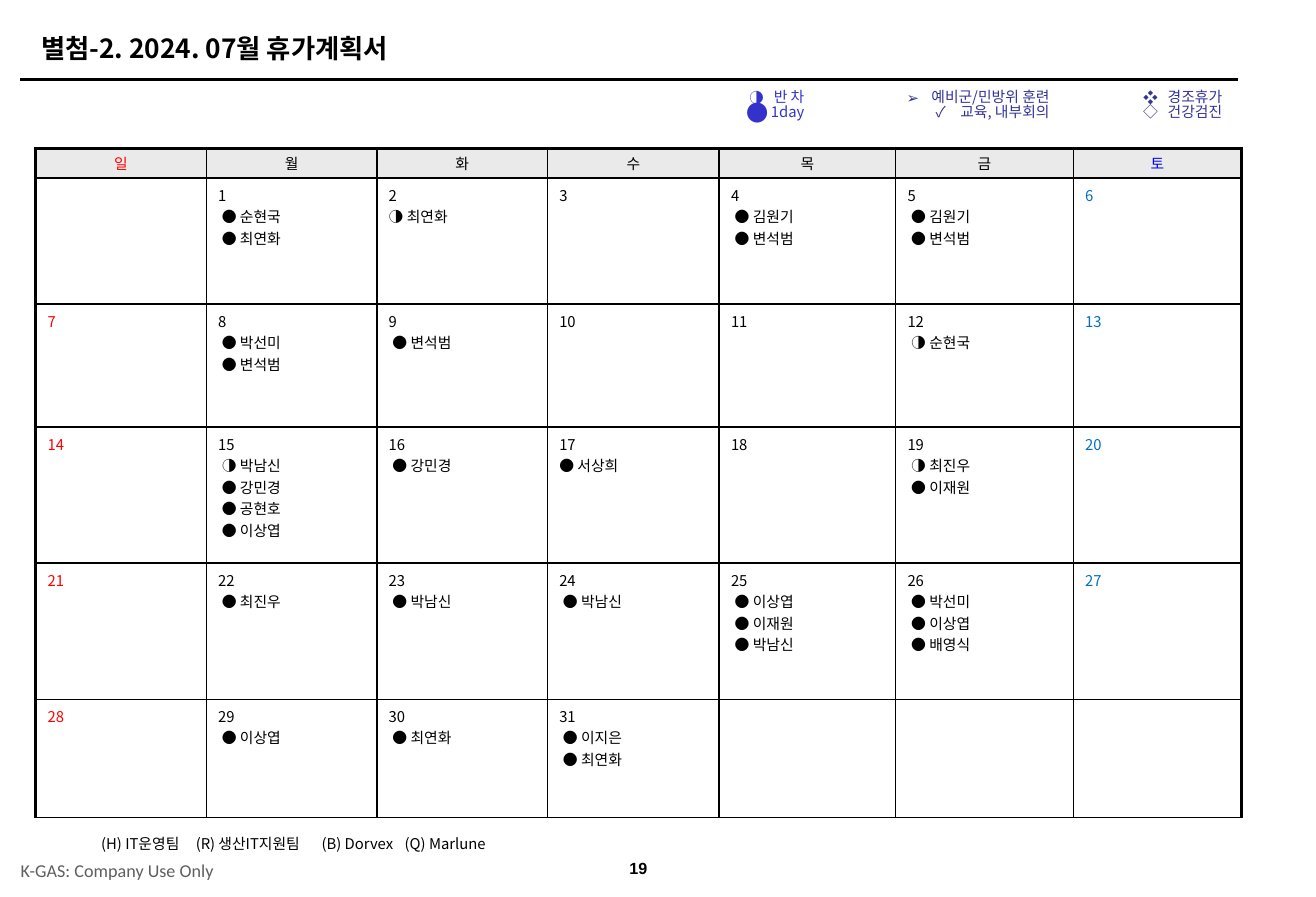
from lxml import etree
from pptx import Presentation
from pptx.dml.color import RGBColor
from pptx.enum.shapes import MSO_CONNECTOR
from pptx.enum.text import MSO_ANCHOR, MSO_AUTO_SIZE, PP_ALIGN
from pptx.oxml.ns import qn
from pptx.util import Pt

BLACK = RGBColor(0x00, 0x00, 0x00)
GRAY = RGBColor(0x5F, 0x5F, 0x5F)
HEADER_GRAY = RGBColor(0xEA, 0xEA, 0xEA)
RED = RGBColor(0xFF, 0x00, 0x00)
BLUE = RGBColor(0x00, 0x00, 0xFF)
SATURDAY_BLUE = RGBColor(0x00, 0x70, 0xC0)
LEAVE_BLUE = RGBColor(0x33, 0x33, 0xCC)
EVENT_BLUE = RGBColor(0x33, 0x33, 0x99)
KOREAN = "Noto Sans CJK KR"

WEEKDAYS = "일월화수목금토"
COLUMN_WIDTHS = [103.7, 103.7, 103.7, 104.4, 107.3, 108, 102.2]
ROW_HEIGHTS = [18.2, 76.5, 74.8, 82.7, 82.7, 71.7]
LAST_DAY = 31
LEAVES = {
    1: ["● 순현국", "● 최연화"],
    2: ["◑ 최연화"],
    4: ["● 김원기", "● 변석범"],
    5: ["● 김원기", "● 변석범"],
    8: ["● 박선미", "● 변석범"],
    9: ["● 변석범"],
    12: ["◑ 순현국"],
    15: ["◑ 박남신", "● 강민경", "● 공현호", "● 이상엽"],
    16: ["● 강민경"],
    17: ["● 서상희"],
    19: ["◑ 최진우", "● 이재원"],
    22: ["● 최진우"],
    23: ["● 박남신"],
    24: ["● 박남신"],
    25: ["● 이상엽", "● 이재원", "● 박남신"],
    26: ["● 박선미", "● 이상엽", "● 배영식"],
    29: ["● 이상엽"],
    30: ["● 최연화"],
    31: ["● 이지은", "● 최연화"],
}
FLUSH_DAYS = {2, 17}

# Right edge, colour and (bullet, bullet size in percent, label) of each group
LEGEND = [
    (496, LEAVE_BLUE, [("◑", 100, "반 차"), ("●", 150, "1day")]),
    (645, EVENT_BLUE, [("➢", 100, "예비군/민방위 훈련"), ("✓", 100, "교육, 내부회의")]),
    (750, EVENT_BLUE, [("❖", 100, "경조휴가"), ("◇", 100, "건강검진")]),
]
TEAMS = ["(H) IT운영팀", "(R) 생산IT지원팀", "(B) Dorvex", "(Q) Marlune"]
TEAM_TABS = [57.5, 134, 184.5]


def format_runs(paragraph, size, color, name=KOREAN, bold=False):
    for run in paragraph.runs:
        run.font.size = Pt(size)
        run.font.bold = bold
        run.font.color.rgb = color
        run.font.name = name
        east_asian = etree.SubElement(run._r.get_or_add_rPr(), qn("a:ea"))
        east_asian.set("typeface", name)


def set_indent(paragraph, margin, first_line=0):
    properties = paragraph._p.get_or_add_pPr()
    properties.set("marL", str(Pt(margin)))
    properties.set("indent", str(Pt(first_line)))


def add_text_box(slide, left, top, width, height, inset=0):
    frame = slide.shapes.add_textbox(Pt(left), Pt(top), Pt(width), Pt(height)).text_frame
    frame.word_wrap = True
    frame.margin_left = frame.margin_right = Pt(inset)
    frame.margin_top = frame.margin_bottom = Pt(inset / 2)
    return frame


def add_heading(slide, left, top, width, height):
    title = slide.shapes.title
    title.left, title.top = Pt(left), Pt(top)
    title.width, title.height = Pt(width), Pt(height)
    frame = title.text_frame
    frame.text = "별첨-2. 2024. 07월 휴가계획서"
    frame.auto_size = MSO_AUTO_SIZE.NONE
    frame.vertical_anchor = MSO_ANCHOR.MIDDLE
    frame.paragraphs[0].alignment = PP_ALIGN.LEFT
    format_runs(frame.paragraphs[0], 16, BLACK, bold=True)

    rule_y = Pt(top + height + 5.8)
    rule = slide.shapes.add_connector(
        MSO_CONNECTOR.STRAIGHT, Pt(left - 5.8), rule_y, Pt(left + width + 21.6), rule_y)
    rule.line.color.rgb = BLACK
    rule.line.width = Pt(1.5)
    etree.SubElement(rule._element.spPr, qn("a:effectLst"))


def add_bullet(paragraph, symbol, size, color):
    set_indent(paragraph, 15, -15)
    properties = paragraph._p.get_or_add_pPr()
    bullet_color = etree.SubElement(properties, qn("a:buClr"))
    etree.SubElement(bullet_color, qn("a:srgbClr")).set("val", str(color))
    etree.SubElement(properties, qn("a:buSzPct")).set("val", str(size * 1000))
    etree.SubElement(properties, qn("a:buFont")).set("typeface", KOREAN)
    etree.SubElement(properties, qn("a:buChar")).set("char", symbol)


def add_legend(slide, top, width, height):
    for right, color, entries in LEGEND:
        frame = add_text_box(slide, right - width, top, width, height, inset=7.2)
        frame.text = "\n".join(label for _, _, label in entries)
        for paragraph, (symbol, size, _) in zip(frame.paragraphs, entries):
            add_bullet(paragraph, symbol, size, color)
            paragraph.alignment = PP_ALIGN.RIGHT
            paragraph.line_spacing = 0.81
            format_runs(paragraph, 9, color)


def set_borders(cell, widths):
    """Draw black left, right, top and bottom borders of the given widths."""
    properties = cell._tc.get_or_add_tcPr()
    for position, (side, width) in enumerate(zip("LRTB", widths)):
        border = etree.Element(qn(f"a:ln{side}"), w=str(Pt(width)))
        fill = etree.SubElement(border, qn("a:solidFill"))
        etree.SubElement(fill, qn("a:srgbClr")).set("val", str(BLACK))
        properties.insert(position, border)


def fill_weekday(cell, column):
    cell.text_frame.text = WEEKDAYS[column]
    cell.vertical_anchor = MSO_ANCHOR.MIDDLE
    cell.margin_top = cell.margin_bottom = Pt(2)
    cell.fill.solid()
    cell.fill.fore_color.rgb = HEADER_GRAY
    heading = cell.text_frame.paragraphs[0]
    heading.alignment = PP_ALIGN.CENTER
    format_runs(heading, 9, {0: RED, 6: BLUE}.get(column, BLACK))


def fill_day(cell, day, column):
    cell.fill.background()
    if not 1 <= day <= LAST_DAY:
        return
    cell.text_frame.text = "\n".join([str(day), *LEAVES.get(day, [])])
    date, *leaves = cell.text_frame.paragraphs
    format_runs(date, 9, {0: RED, 6: SATURDAY_BLUE}.get(column, BLACK))
    for leave in leaves:
        set_indent(leave, 0 if day in FLUSH_DAYS else 2.25)
        format_runs(leave, 9, BLACK)


def add_calendar(slide, left, top):
    calendar = slide.shapes.add_table(
        len(ROW_HEIGHTS), len(COLUMN_WIDTHS), Pt(left), Pt(top),
        Pt(sum(COLUMN_WIDTHS)), Pt(sum(ROW_HEIGHTS))).table
    calendar.first_row = calendar.horz_banding = False
    for column, width in enumerate(COLUMN_WIDTHS):
        calendar.columns[column].width = Pt(width)
    for row, height in enumerate(ROW_HEIGHTS):
        calendar.rows[row].height = Pt(height)
        for column in range(len(COLUMN_WIDTHS)):
            cell = calendar.cell(row, column)
            if row == 0:
                fill_weekday(cell, column)
            else:
                fill_day(cell, 7 * (row - 1) + column, column)
            set_borders(cell, [2 if column == 0 else 1, 2 if column == 6 else 1,
                               2 if row == 0 else 1, 1])


def add_teams(slide, left, top, width, height):
    frame = add_text_box(slide, left, top, width, height)
    frame.vertical_anchor = MSO_ANCHOR.MIDDLE
    teams = frame.paragraphs[0]
    teams.text = "\t".join(TEAMS)
    tabs = etree.SubElement(teams._p.get_or_add_pPr(), qn("a:tabLst"))
    for position in TEAM_TABS:
        etree.SubElement(tabs, qn("a:tab"), pos=str(Pt(position)), algn="l")
    format_runs(teams, 9, BLACK)


def add_footer(slide, left, top, width, height):
    notice = add_text_box(slide, left, top + 1.5, 140, height)
    notice.text = "K-GAS: Company Use Only"
    format_runs(notice.paragraphs[0], 11, GRAY, "Calibri")

    page_number = add_text_box(slide, left + width / 2 - 20, top, 40, height)
    page_number.text = "19"
    page_number.paragraphs[0].alignment = PP_ALIGN.CENTER
    format_runs(page_number.paragraphs[0], 9.8, BLACK, "Arial", bold=True)

    for frame in (notice, page_number):
        frame.vertical_anchor = MSO_ANCHOR.MIDDLE


def main():
    presentation = Presentation()
    presentation.slide_width, presentation.slide_height = Pt(800), Pt(545)
    slide = presentation.slides.add_slide(presentation.slide_layouts[5])
    add_heading(slide, 18, 15.8, 713, 26.6)
    add_legend(slide, 52, 110, 28)
    add_calendar(slide, 21.7, 90)
    add_teams(slide, 61.5, 504, 250, 17.3)
    add_footer(slide, 12.5, 516.2, 751, 22.3)
    presentation.save("out.pptx")


if __name__ == "__main__":
    main()
